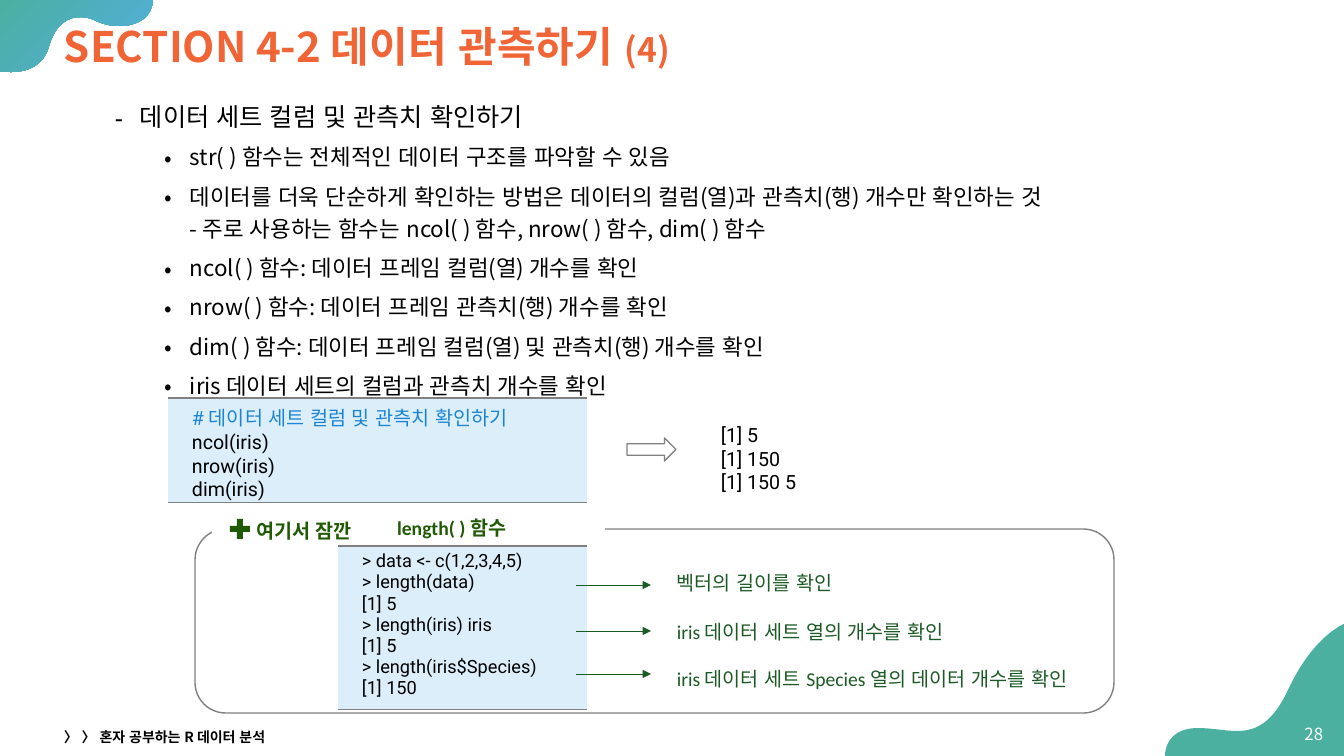
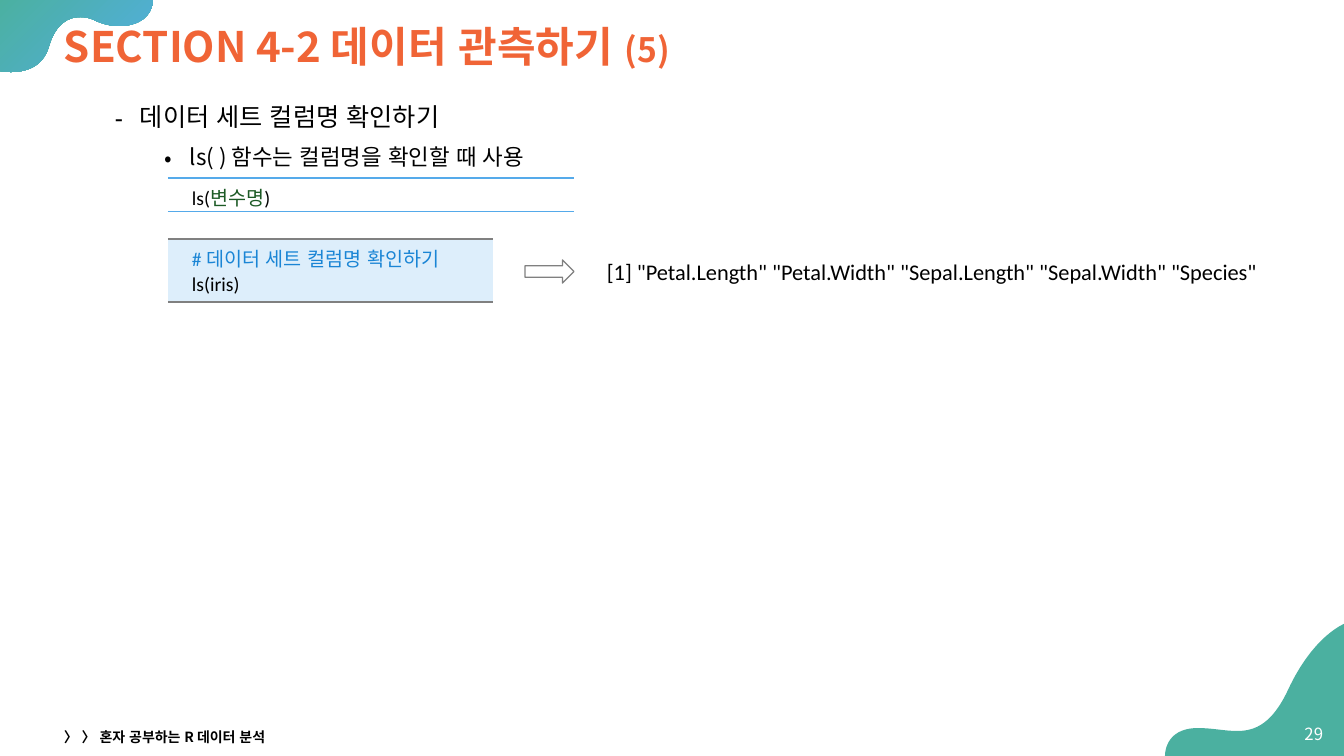
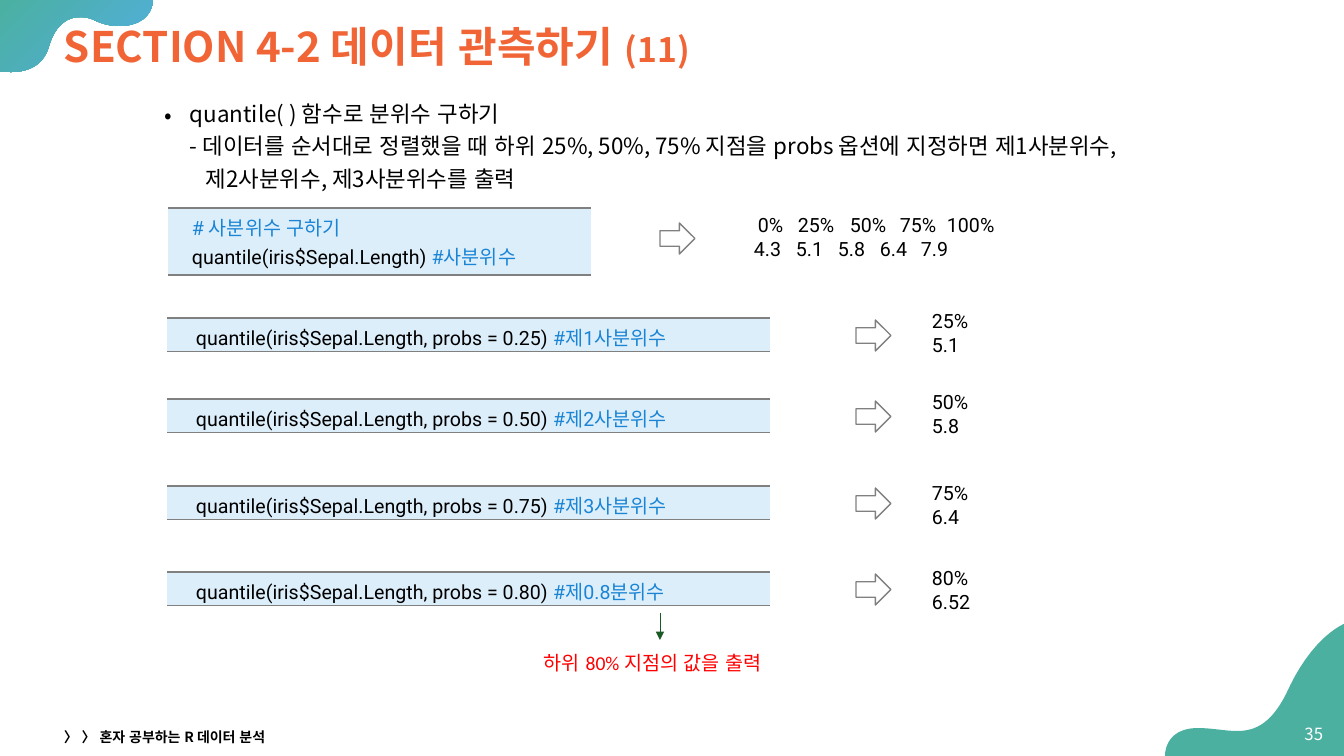
from lxml.etree import SubElement
from pptx import Presentation
from pptx.dml.color import RGBColor
from pptx.enum.lang import MSO_LANGUAGE_ID
from pptx.enum.shapes import MSO_CONNECTOR, MSO_SHAPE
from pptx.enum.text import MSO_ANCHOR, PP_ALIGN
from pptx.oxml.ns import qn
from pptx.util import Pt

PX = 914400 / 100.8
WIDTH, HEIGHT = 1344, 756

BLACK, WHITE, RED, GRAY = "000000", "FFFFFF", "FF0000", "808080"
ORANGE, TEAL, SKY = "F06436", "4BB0A0", "52AEE1"
GREEN, DARK_GREEN = "1C5A25", "215A05"
COMMENT, CODE_FILL, SYNTAX_LINE = "1A85D5", "DDEEFB", "55AAEA"
KOREAN, CODE, PLAIN = "Noto Sans CJK KR", "Roboto", "Calibri"

TITLE = "SECTION 4-2 데이터 관측하기 "
FOOTER = "〉 〉 혼자 공부하는 R 데이터 분석"

# Outlines: a pair is a straight step, three pairs are a Bezier step.
CORNER_WAVE = [
    (153, -2), (-1, -2), (-1, 71),
    ((-1, 71), (4, 72), (11, 72)),
    ((24, 72), (43, 68), (49, 46)),
    ((56, 23), (69, 17), (80, 17)),
    ((85, 17), (90, 18), (94, 20)),
    ((102, 24), (111, 26), (119, 26)),
    ((138, 26), (153, 17), (153, -2)),
]
BOTTOM_WAVE = [
    (1346, 623),
    ((1346, 623), (1314, 634), (1288, 690)),
    ((1272, 724), (1255, 731), (1237, 731)),
    ((1225, 731), (1212, 728), (1198, 728)),
    ((1163, 728), (1165, 757), (1165, 757)),
    (1346, 757),
]

# Body levels: left margin, first-line indent, bullet, size, space before
LEVELS = {
    "topic": (76, -25, "⁃", 18, 5),
    "point": (126, -25, "•", 16, 5),
    "more": (126, 0, None, 16, 0),
    "rest": (142, 0, None, 16, 0),
}
COLUMNS_BODY = [
    ("topic", "데이터 세트 컬럼 및 관측치 확인하기"),
    ("point", "str( ) 함수는 전체적인 데이터 구조를 파악할 수 있음"),
    ("point", "데이터를 더욱 단순하게 확인하는 방법은 데이터의 컬럼(열)과 관측치(행) 개수만 확인하는 것"),
    ("more", "- 주로 사용하는 함수는 ncol( ) 함수, nrow( ) 함수, dim( ) 함수"),
    ("point", "ncol( ) 함수: 데이터 프레임 컬럼(열) 개수를 확인"),
    ("point", "nrow( ) 함수: 데이터 프레임 관측치(행) 개수를 확인"),
    ("point", "dim( ) 함수: 데이터 프레임 컬럼(열) 및 관측치(행) 개수를 확인"),
    ("point", "iris 데이터 세트의 컬럼과 관측치 개수를 확인"),
]
NAMES_BODY = [
    ("topic", "데이터 세트 컬럼명 확인하기"),
    ("point", "ls( ) 함수는 컬럼명을 확인할 때 사용"),
]
QUANTILE_BODY = [
    ("point", "quantile( ) 함수로 분위수 구하기"),
    ("more", "- 데이터를 순서대로 정렬했을 때 하위 25%, 50%, 75% 지점을 probs 옵션에 지정하면 제1사분위수, "),
    ("rest", "제2사분위수, 제3사분위수를 출력"),
]

# A line is a string or a list of (text, colour) spans.
COUNT_CODE = [[("# 데이터 세트 컬럼 및 관측치 확인하기", COMMENT)], "ncol(iris)", "nrow(iris)", "dim(iris)"]
COUNT_RESULT = ["[1] 5", "[1] 150", "[1] 150 5"]
LENGTH_CODE = ["> data <- c(1,2,3,4,5)", "> length(data)", "[1] 5", "> length(iris) iris",
               "[1] 5", "> length(iris$Species)", "[1] 150"]
# Note top, arrow height, note
LENGTH_NOTES = [
    (566, 585, "벡터의 길이를 확인"),
    (615, 631, "iris 데이터 세트 열의 개수를 확인"),
    (662, 674, "iris 데이터 세트 Species 열의 데이터 개수를 확인"),
]
SYNTAX = [[("ls(", BLACK), ("변수명", GREEN), (")", BLACK)]]
NAMES_CODE = [[("# 데이터 세트 컬럼명 확인하기", COMMENT)], "ls(iris)"]
NAMES_RESULT = ['[1] "Petal.Length" "Petal.Width" "Sepal.Length" "Sepal.Width" "Species"']
QUARTILE_CODE = [
    [("# 사분위수 구하기", COMMENT)],
    [("quantile(iris$Sepal.Length) ", BLACK), ("#사분위수", COMMENT)],
]
QUARTILE_RESULT = ["\t0%\t25%\t50%\t75%\t100%", "4.3\t5.1\t5.8\t6.4\t7.9"]
QUARTILE_TABS = [(4, 44, 96, 146, 193), (42, 84, 126, 167)]
# Code top, result top, probability, comment, result
PROBABILITIES = [
    (318, 304, "0.25", "#제1사분위수", ["25%", "5.1"]),
    (399, 385, "0.50", "#제2사분위수", ["50%", "5.8"]),
    (486, 476, "0.75", "#제3사분위수", ["75%", "6.4"]),
    (572, 561, "0.80", "#제0.8분위수", ["80%", "6.52"]),
]


def emu(*lengths):
    return [round(length * PX) for length in lengths]


def rgb(value):
    return RGBColor.from_string(value)


def add_span(para, text, **format_values):
    values = {"name": PLAIN, "size": 14, "bold": False, "color": BLACK} | format_values
    span = para.add_run()
    span.text = text
    span.font.color.rgb = rgb(values.pop("color"))
    values |= {"size": Pt(values["size"]), "language_id": MSO_LANGUAGE_ID.KOREAN}
    for name, value in values.items():
        setattr(span.font, name, value)
    SubElement(span.font._element, qn("a:ea")).set("typeface", KOREAN)


def write_lines(frame, lines, **format_values):
    color = format_values.pop("color", BLACK)
    for index, line in enumerate(lines):
        para = frame.add_paragraph() if index else frame.paragraphs[0]
        para.alignment = PP_ALIGN.LEFT
        for text, span_color in [(line, color)] if isinstance(line, str) else line:
            add_span(para, text, color=span_color, **format_values)


def add_text(slide, box, lines=(), anchor=MSO_ANCHOR.TOP, **format_values):
    frame = slide.shapes.add_textbox(*emu(*box)).text_frame
    frame.word_wrap = True
    frame.vertical_anchor = anchor
    write_lines(frame, lines, **format_values)
    return frame


def finish(shape, fill=None, line=None):
    """Remove the shadow and set fill and outline; None leaves either empty."""
    shape.shadow.inherit = False
    if fill:
        shape.fill.solid()
        shape.fill.fore_color.rgb = rgb(fill)
    else:
        shape.fill.background()
    if line:
        shape.line.color.rgb = rgb(line)
        shape.line.width = Pt(1)
    else:
        shape.line.fill.background()
    return shape


def add_shape(slide, kind, box, **colors):
    return finish(slide.shapes.add_shape(kind, *emu(*box)), **colors)


def add_block_arrow(slide, *box):
    add_shape(slide, MSO_SHAPE.RIGHT_ARROW, box, line=GRAY)


def add_label(slide, kind, box, text, inset):
    label = add_shape(slide, kind, box, fill=WHITE)
    frame = label.text_frame
    frame.margin_left = emu(inset)[0]
    frame.vertical_anchor = MSO_ANCHOR.TOP
    write_lines(frame, [text], color=DARK_GREEN, bold=True)


def add_pointer(slide, *ends):
    pointer = slide.shapes.add_connector(MSO_CONNECTOR.STRAIGHT, *emu(*ends))
    pointer.line.color.rgb = rgb(GREEN)
    pointer.line.width = Pt(0.5)
    properties = pointer._element.spPr
    SubElement(properties.find(qn("a:ln")), qn("a:tailEnd")).set("type", "triangle")
    SubElement(properties, qn("a:effectLst"))


def add_code(slide, box, lines, insets=(24, 10), fill=CODE_FILL, line=GRAY, **format_values):
    """One-cell table ruled above and below."""
    table = slide.shapes.add_table(1, 1, *emu(*box)).table
    table.first_row = table.horz_banding = False
    cell = table.cell(0, 0)
    cell.margin_left, cell.margin_right = emu(*insets)
    properties = cell._tc.get_or_add_tcPr()
    for side in ("lnL", "lnR", "lnT", "lnB"):
        border = SubElement(properties, qn(f"a:{side}"))
        if side in ("lnL", "lnR"):
            SubElement(border, qn("a:noFill"))
        else:
            border.set("w", str(Pt(1)))
            SubElement(SubElement(border, qn("a:solidFill")), qn("a:srgbClr")).set("val", line)
    if fill:
        cell.fill.solid()
        cell.fill.fore_color.rgb = rgb(fill)
    else:
        cell.fill.background()
    write_lines(cell.text_frame, lines, **format_values)


def add_wave(slide, outline):
    """Lay out every point as a line step, then join Bezier triples into curves."""
    points, starts = [], []
    for step in outline:
        if len(step) == 3:
            starts.append(len(points) - 1)
            points.extend(step)
        else:
            points.append(step)
    builder = slide.shapes.build_freeform(*emu(*points[0]))
    builder.add_line_segments([emu(*point) for point in points[1:]], close=True)
    wave = builder.convert_to_shape()
    steps = list(wave._element.iter(qn("a:lnTo")))
    for start in starts:
        triple = steps[start:start + 3]
        curve = SubElement(triple[0].getparent(), qn("a:cubicBezTo"))
        triple[0].addprevious(curve)
        for step in triple:
            curve.append(step[0])
            step.getparent().remove(step)
    return finish(wave, fill=TEAL)


def add_body(slide, entries):
    frame = add_text(slide, (54, 90, 1244, 580))
    for index, (level, text) in enumerate(entries):
        margin, indent, bullet, size, before = LEVELS[level]
        para = frame.add_paragraph() if index else frame.paragraphs[0]
        para.line_spacing = 1.2
        para.space_before = Pt(before if index else 0)
        properties = para._p.get_or_add_pPr()
        for name, value in zip(("marL", "indent"), emu(margin, indent)):
            properties.set(name, str(value))
        if bullet:
            SubElement(properties, qn("a:buFont")).set("typeface", KOREAN)
            SubElement(properties, qn("a:buChar")).set("char", bullet)
        add_span(para, text, name=KOREAN, size=size)


def add_page(deck, part, number, body):
    """Add a slide with the shared waves, title, footer and page number."""
    slide = deck.slides.add_slide(deck.slide_layouts[6])
    corner = add_wave(slide, CORNER_WAVE)
    corner.fill.gradient()
    corner.fill.gradient_angle = 315
    for stop, color, position in zip(corner.fill.gradient_stops, (TEAL, SKY), (0, 1)):
        stop.color.rgb = rgb(color)
        stop.position = position
    add_wave(slide, BOTTOM_WAVE)
    add_body(slide, body)
    middle = MSO_ANCHOR.MIDDLE
    add_text(slide, (54, 725, 454, 24), [FOOTER], middle, name=KOREAN, size=10, bold=True)
    title = add_text(slide, (54, 12, 1244, 74), anchor=middle).paragraphs[0]
    title.line_spacing = 0.9
    for text, size in ((TITLE, 30), (f"({part})", 24)):
        add_span(title, text, name=KOREAN, size=size, bold=True, color=ORANGE)
    page = add_text(slide, (1289, 714, 44, 40), [str(number)], middle, name=KOREAN, size=12, color=WHITE)
    page.paragraphs[0].alignment = PP_ALIGN.RIGHT
    return slide


def build_counts(deck):
    slide = add_page(deck, 4, 28, COLUMNS_BODY)
    add_shape(slide, MSO_SHAPE.ROUNDED_RECTANGLE, (195, 529, 919, 184), line=GRAY)
    add_code(slide, (168, 398, 419, 104), COUNT_CODE, name=CODE)
    add_text(slide, (711, 418, 199, 82), COUNT_RESULT, name=CODE)
    add_block_arrow(slide, 627, 438, 49, 23)
    add_label(slide, MSO_SHAPE.ROUNDED_RECTANGLE, (212, 508, 393, 64), "length( ) 함수", 182)
    add_label(slide, MSO_SHAPE.RECTANGLE, (217, 514, 158, 34), "여기서 잠깐", 39)
    add_shape(slide, MSO_SHAPE.CROSS, (230, 519, 20, 20), fill=DARK_GREEN).adjustments[0] = 0.35
    add_code(slide, (338, 546, 249, 163), LENGTH_CODE, name=CODE, size=13)
    for top, height, note in LENGTH_NOTES:
        add_text(slide, (667, top, 454, 34), [note], color=GREEN)
        add_pointer(slide, 576, height, 651, height)


def build_names(deck):
    slide = add_page(deck, 5, 29, NAMES_BODY)
    add_code(slide, (168, 239, 325, 63), NAMES_CODE)
    add_text(slide, (597, 253, 737, 37), NAMES_RESULT, size=16)
    add_block_arrow(slide, 525, 260, 49, 23)
    add_code(slide, (168, 178, 406, 33), SYNTAX, fill=None, line=SYNTAX_LINE)


def build_quantiles(deck):
    slide = add_page(deck, 11, 35, QUANTILE_BODY)
    add_code(slide, (168, 208, 423, 67), QUARTILE_CODE, name=CODE)
    add_block_arrow(slide, 660, 223, 35, 31)
    result = add_text(slide, (744, 208, 308, 57), QUARTILE_RESULT, name=CODE)
    for para, stops in zip(result.paragraphs, QUARTILE_TABS):
        tabs = SubElement(para._p.get_or_add_pPr(), qn("a:tabLst"))
        for stop in emu(*stops):
            tab = SubElement(tabs, qn("a:tab"))
            tab.set("pos", str(stop))
            tab.set("algn", "l")
    for top, result_top, probability, comment, lines in PROBABILITIES:
        call = f"quantile(iris$Sepal.Length, probs = {probability}) "
        add_code(slide, (167, top, 603, 33), [[(call, BLACK), (comment, COMMENT)]], (29, 12), name=CODE)
        add_block_arrow(slide, 856, top + 2, 35, 31)
        add_text(slide, (922, result_top, 166, 57), lines, name=CODE)
    add_text(slide, (534, 646, 281, 34), ["하위 80% 지점의 값을 출력"], color=RED)
    add_pointer(slide, 660, 613, 660, 640)


def main():
    deck = Presentation()
    deck.slide_width, deck.slide_height = emu(WIDTH, HEIGHT)
    for build in (build_counts, build_names, build_quantiles):
        build(deck)
    deck.save("out.pptx")


if __name__ == "__main__":
    main()
